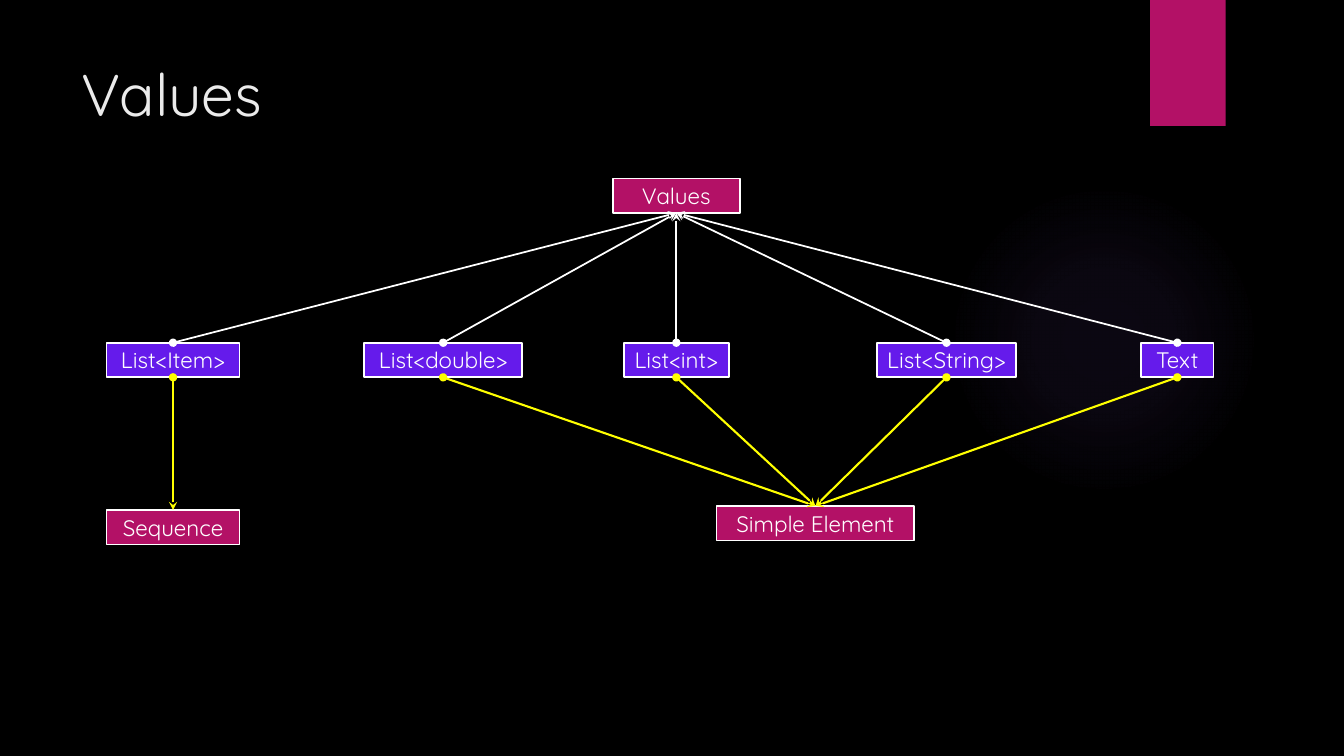
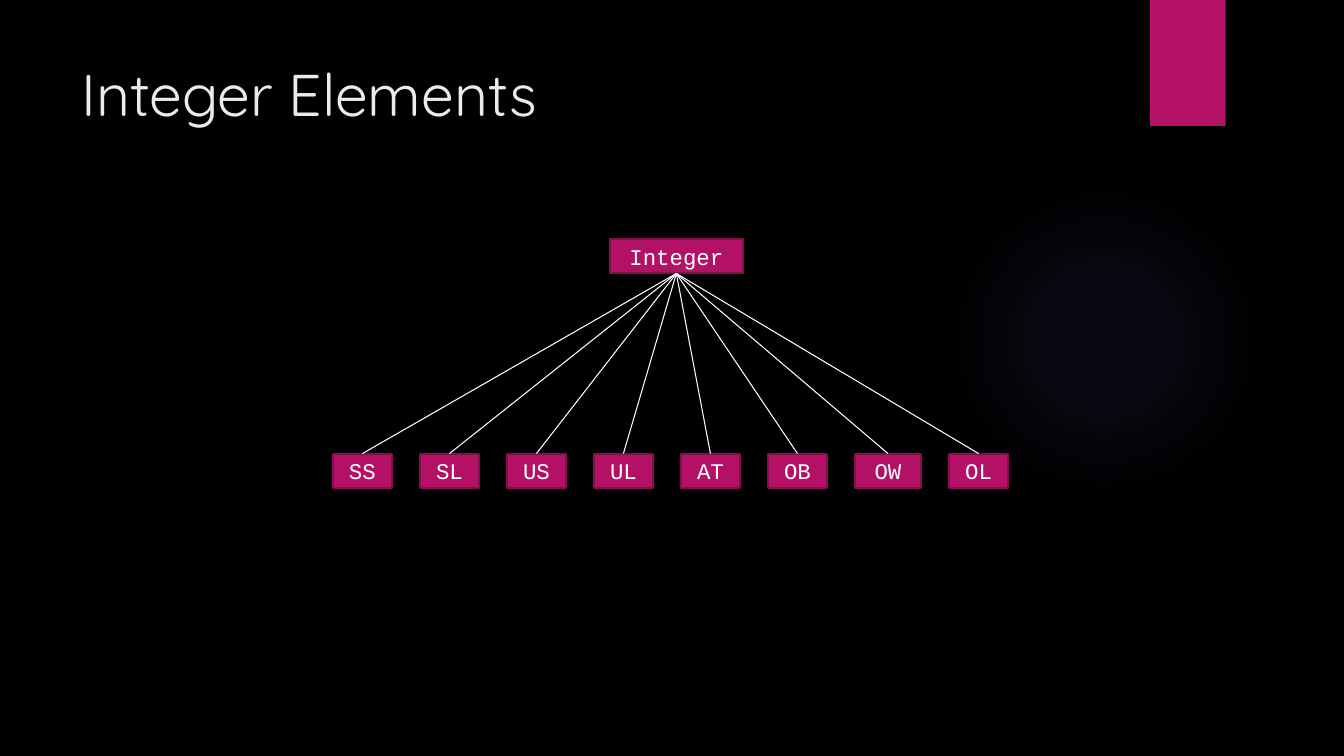
from dataclasses import dataclass

from lxml.etree import SubElement
from pptx import Presentation
from pptx.dml.color import RGBColor
from pptx.enum.shapes import MSO_CONNECTOR, MSO_SHAPE
from pptx.enum.text import MSO_ANCHOR, PP_ALIGN
from pptx.oxml import parse_xml
from pptx.oxml.ns import nsdecls, qn
from pptx.util import Emu, Pt

COLS, ROWS = 40, 22.5
CELL = 304800  # a third of an inch, both ways
TOP, BOTTOM = 0, 2  # connection sites of a rectangle


@dataclass(frozen=True)
class Theme:
    back: str = "000000"
    title: str = "EBEBEB"
    text: str = "FFFFFF"
    accent: str = "B31166"
    accent_edge: str = "840D4B"
    violet: str = "651BEB"
    glow: str = "9B6BF2"
    yellow: str = "FFFF00"
    font: str = "Quicksand"
    code_font: str = "Courier New"
    title_size: float = 42
    box_size: float = 16
    box_height: float = 1.03
    glow_stops: tuple = ((0, 7), (36, 6), (69, 0))


def rgb(color):
    return RGBColor.from_string(color)


def cells(*counts):
    return [Emu(round(n * CELL)) for n in counts]


class Deck:
    def __init__(self, theme):
        self.theme = theme
        self.prs = Presentation()
        self.prs.slide_width, self.prs.slide_height = cells(COLS, ROWS)
        self.s = None

    def new_slide(self, title):
        t = self.theme
        self.s = self.prs.slides.add_slide(self.prs.slide_layouts[6])
        fill = self.s.background.fill
        fill.solid()
        fill.fore_color.rgb = rgb(t.back)
        self.glow(28.23, 5.49, 9.24)
        self.shape(34.23, 0, 2.25, 3.75, t.accent)
        tb = self.s.shapes.add_textbox(*cells(2.13, 1.5, 30.87, 2.52))
        self.add_text(tb.text_frame, title, t.font, t.title_size, t.title)

    def add_text(self, tf, text, font, size, color, align=PP_ALIGN.LEFT):
        tf.word_wrap = True
        tf.vertical_anchor = MSO_ANCHOR.MIDDLE
        p = tf.paragraphs[0]
        p.alignment = align
        r = p.add_run()
        r.text = text
        r.font.name = font
        r.font.size = Pt(size)
        r.font.color.rgb = rgb(color)

    def shape(self, x, y, w, h, fill=None, kind=MSO_SHAPE.RECTANGLE):
        sp = self.s.shapes.add_shape(kind, *cells(x, y, w, h))
        sp.shadow.inherit = False
        sp.line.fill.background()
        if fill:
            sp.fill.solid()
            sp.fill.fore_color.rgb = rgb(fill)
        return sp

    def glow(self, x, y, size):
        """Add a round light that fades out from its centre."""
        sp = self.shape(x, y, size, size, kind=MSO_SHAPE.OVAL)
        stops = "".join(
            f'<a:gs pos="{pos * 1000}"><a:srgbClr val="{self.theme.glow}">'
            f'<a:alpha val="{alpha * 1000}"/></a:srgbClr></a:gs>'
            for pos, alpha in self.theme.glow_stops)
        grad = parse_xml(
            f'<a:gradFill {nsdecls("a")}><a:gsLst>{stops}</a:gsLst>'
            '<a:path path="circle"><a:fillToRect l="50000" t="50000" '
            'r="50000" b="50000"/></a:path></a:gradFill>')
        sp._element.spPr.find(qn("a:prstGeom")).addnext(grad)

    def box(self, text, center, top, width, fill, edge, edge_width, font):
        t = self.theme
        sp = self.shape(center - width / 2, top, width, t.box_height, fill)
        sp.line.color.rgb = rgb(edge)
        sp.line.width = Pt(edge_width)
        tf = sp.text_frame
        tf.margin_left = tf.margin_right = 0
        tf.margin_top = tf.margin_bottom = 0
        self.add_text(tf, text, font, t.box_size, t.text, PP_ALIGN.CENTER)
        return sp

    def type_box(self, text, center, top, width, fill):
        t = self.theme
        return self.box(text, center, top, width, fill, t.text, 1.25, t.font)

    def code_box(self, text, center, top, width):
        t = self.theme
        return self.box(text, center, top, width, t.accent, t.accent_edge,
                        1.5, t.code_font)

    def link(self, parent, child, color, width, sites=(BOTTOM, TOP), ends=()):
        """Join two boxes; ends names the arrowheads at parent and child."""
        c = self.s.shapes.add_connector(MSO_CONNECTOR.STRAIGHT, 0, 0, 0, 0)
        c.begin_connect(parent, sites[0])
        c.end_connect(child, sites[1])
        c.line.color.rgb = rgb(color)
        c.line.width = Pt(width)
        spPr = c._element.spPr
        for tag, kind in zip(("a:headEnd", "a:tailEnd"), ends):
            SubElement(spPr.find(qn("a:ln")), qn(tag), type=kind)
        SubElement(spPr, qn("a:effectLst"))


def values_slide(deck):
    t = deck.theme
    deck.new_slide("Values")
    arrow = ("stealth", "oval")
    values = deck.type_box("Values", 20.13, 5.31, 3.78, t.accent)
    sequence = deck.type_box("Sequence", 5.15, 15.18, 3.96, t.accent)
    simple = deck.type_box("Simple Element", 24.27, 15.06, 5.88, t.accent)
    kinds = [
        ("List<Item>", 5.15, 3.96, sequence),
        ("List<double>", 13.19, 4.71, simple),
        ("List<int>", 20.13, 3.12, simple),
        ("List<String>", 28.17, 4.14, simple),
        ("Text", 35.04, 2.16, simple),
    ]
    for text, center, width, element in kinds:
        kind = deck.type_box(text, center, 10.2, width, t.violet)
        deck.link(values, kind, t.text, 1.25, ends=arrow)
        deck.link(element, kind, t.yellow, 1.5, (TOP, BOTTOM), arrow)


def integer_slide(deck):
    deck.new_slide("Integer Elements")
    integer = deck.code_box("Integer", 20.13, 7.11, 3.96)
    left, gap = 9.9, 0.82
    for code in ("SS", "SL", "US", "UL", "AT", "OB", "OW", "OL"):
        width = 1.98 if code == "OW" else 1.77
        leaf = deck.code_box(code, left + width / 2, 13.5, width)
        deck.link(integer, leaf, deck.theme.text, 0.75)
        left += width + gap


def main():
    deck = Deck(Theme())
    values_slide(deck)
    integer_slide(deck)
    deck.prs.save("out.pptx")


if __name__ == "__main__":
    main()
